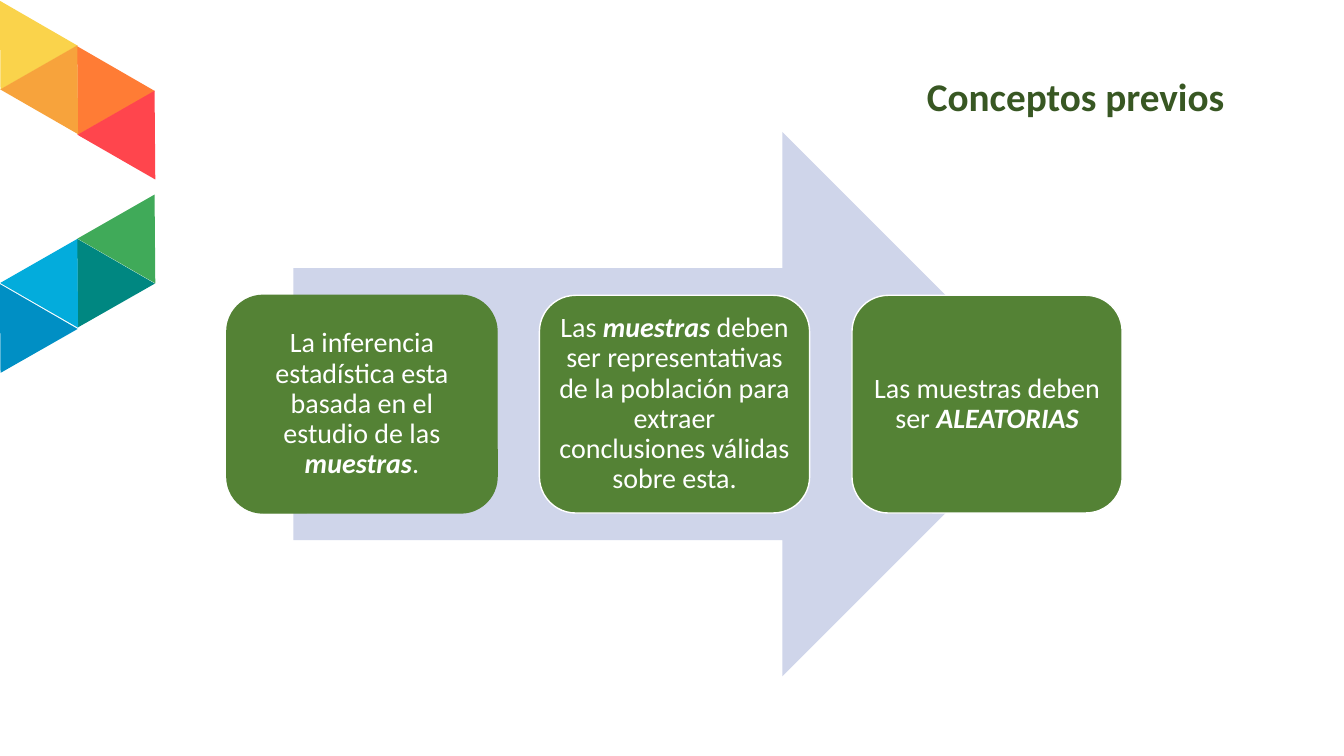
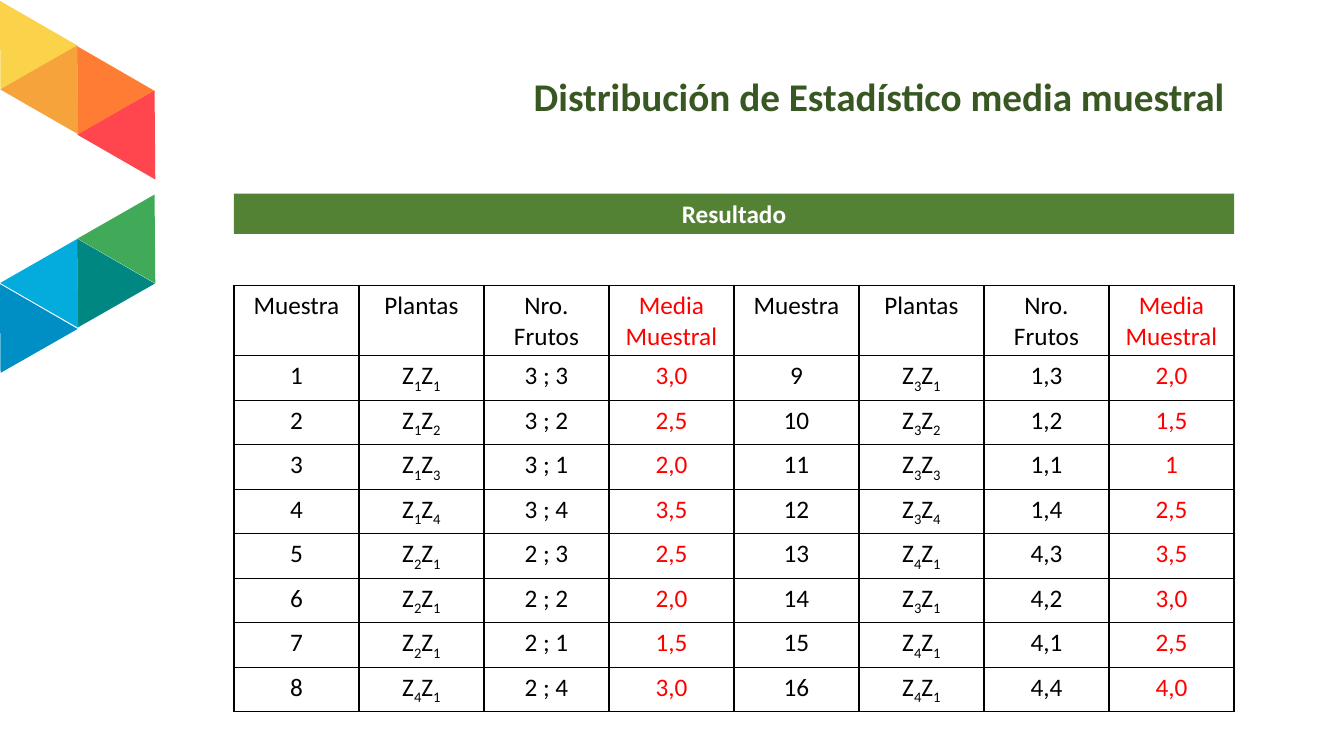
from dataclasses import dataclass

from lxml.etree import SubElement
from pptx import Presentation
from pptx.dml.color import RGBColor
from pptx.enum.shapes import MSO_SHAPE
from pptx.enum.text import MSO_ANCHOR, PP_ALIGN
from pptx.oxml.ns import qn
from pptx.util import Inches, Pt


@dataclass(frozen=True)
class Theme:
    font: str = "Calibri"
    title: str = "385723"
    green: str = "548235"
    arrow: str = "CFD5EA"
    white: str = "FFFFFF"
    black: str = "000000"
    red: str = "FF0000"
    title_size: int = 28
    card_size: int = 20
    table_size: int = 18


THEME = Theme()

TRIANGLES = [
    (0, 0.18, "FAD34B"),
    (2, 0.63, "FF7C35"),
    (1, 0.40, "F7A33C"),
    (3, 0.85, "FF454D"),
    (2, 2.54, "008781"),
    (0, 2.99, "008FC4"),
    (1, 2.32, "03ACDC"),
    (3, 1.88, "40AA59"),
]

CONCEPTS_TITLE = "Conceptos previos"
CARDS = [
    [
        ("La inferencia estadística esta basada en el estudio de las ", ""),
        ("muestras", "strong"),
        (".", ""),
    ],
    [
        ("Las ", ""),
        ("muestras", "strong"),
        (" deben ser representativas de la población para extraer conclusiones válidas sobre esta.", ""),
    ],
    [("Las muestras deben ser ", ""), ("ALEATORIAS", "strong")],
]

RESULTS_TITLE = "Distribución de Estadístico media muestral"
RESULTS_BAND = "Resultado"
HEADERS = ["Muestra", "Plantas", "Nro. Frutos", "Media Muestral"]
PLANT_COLUMN, MEAN_COLUMN = 1, 3
FIRST_SAMPLES = [
    ("11", "3 ; 3", "3,0"),
    ("12", "3 ; 2", "2,5"),
    ("13", "3 ; 1", "2,0"),
    ("14", "3 ; 4", "3,5"),
    ("21", "2 ; 3", "2,5"),
    ("21", "2 ; 2", "2,0"),
    ("21", "2 ; 1", "1,5"),
    ("41", "2 ; 4", "3,0"),
]
LAST_SAMPLES = [
    ("31", "1,3", "2,0"),
    ("32", "1,2", "1,5"),
    ("33", "1,1", "1"),
    ("34", "1,4", "2,5"),
    ("41", "4,3", "3,5"),
    ("31", "4,2", "3,0"),
    ("41", "4,1", "2,5"),
    ("41", "4,4", "4,0"),
]


def rgb(value):
    return RGBColor.from_string(value)


def write(frame, text, size, color, bold=False, align=PP_ALIGN.CENTER, spacing=None):
    frame.word_wrap = True
    para = frame.paragraphs[0]
    para.alignment = align
    if spacing:
        para.line_spacing = spacing
    for words, style in [(text, "")] if isinstance(text, str) else text:
        span = para.add_run()
        span.text = words
        font = span.font
        font.name, font.size = THEME.font, Pt(size)
        font.color.rgb = rgb(color)
        font.bold = bold or style == "strong"
        font.italic = style == "strong"
        if style == "sub":
            span._r.get_or_add_rPr().set("baseline", "-25000")


def add_box(page, kind, left, top, width, height, fill, line=None):
    box = page.shapes.add_shape(kind, Inches(left), Inches(top), Inches(width), Inches(height))
    box.shadow.inherit = False
    box.fill.solid()
    box.fill.fore_color.rgb = rgb(fill)
    if line:
        box.line.color.rgb = rgb(line)
        box.line.width = Pt(1)
    else:
        box.line.fill.background()
    return box


def decorate_layout(layout, page):
    for column, top, color in TRIANGLES:
        triangle = add_box(
            page, MSO_SHAPE.ISOSCELES_TRIANGLE, -0.25 + 0.383 * column, top, 0.89, 0.76, color
        )
        triangle.rotation = 29.9 if column % 2 else 210
        layout.shapes.element.append(triangle.element)


def add_title(page, text):
    box = page.shapes.add_textbox(Inches(2.68), Inches(0.72), Inches(9.56), Inches(0.65))
    write(box.text_frame, text, THEME.title_size, THEME.title,
          bold=True, align=PP_ALIGN.RIGHT, spacing=0.9)


def build_concepts(page):
    add_title(page, CONCEPTS_TITLE)
    add_box(page, MSO_SHAPE.RIGHT_ARROW, 2.91, 1.31, 7.55, 5.4, THEME.arrow)
    for index, text in enumerate(CARDS):
        line = THEME.white if index else THEME.green
        card = add_box(page, MSO_SHAPE.ROUNDED_RECTANGLE, 2.25 + 3.1 * index, 2.93,
                       2.68, 2.16, THEME.green, line)
        frame = card.text_frame
        frame.margin_left = frame.margin_right = Inches(0.08)
        frame.margin_top = frame.margin_bottom = Inches(0.08)
        frame.vertical_anchor = MSO_ANCHOR.MIDDLE
        write(frame, text, THEME.card_size, THEME.white, spacing=0.9)


def sample_cells(number, plants, fruits, mean):
    pair = [part for digit in plants for part in (("Z", ""), (digit, "sub"))]
    return [str(number), pair, fruits, mean]


def result_rows():
    rows = [HEADERS * 2]
    count = len(FIRST_SAMPLES)
    for number, (first, last) in enumerate(zip(FIRST_SAMPLES, LAST_SAMPLES), 1):
        rows.append(sample_cells(number, *first) + sample_cells(number + count, *last))
    return rows


def outline_cell(cell):
    properties = cell._tc.get_or_add_tcPr()
    for side in ("a:lnL", "a:lnR", "a:lnT", "a:lnB"):
        line = SubElement(properties, qn(side), w=str(Pt(1)))
        solid = SubElement(line, qn("a:solidFill"))
        SubElement(solid, qn("a:srgbClr"), val=THEME.black)
    cell.fill.background()


def build_results(page):
    add_title(page, RESULTS_TITLE)
    band = add_box(page, MSO_SHAPE.RECTANGLE, 2.32, 1.92, 9.92, 0.4, THEME.green)
    write(band.text_frame, RESULTS_BAND, THEME.table_size, THEME.white, bold=True)

    rows = result_rows()
    heights = [0.7] + [0.44] * (len(rows) - 1)
    table = page.shapes.add_table(
        len(rows), len(rows[0]), Inches(2.32), Inches(2.83), Inches(9.92), Inches(sum(heights))
    ).table
    table.first_row = table.horz_banding = False
    for row, height, texts in zip(table.rows, heights, rows):
        row.height = Inches(height)
        for column, (cell, text) in enumerate(zip(row.cells, texts)):
            is_mean = column % len(HEADERS) == MEAN_COLUMN
            write(cell.text_frame, text, THEME.table_size, THEME.red if is_mean else THEME.black)
            outline_cell(cell)


def main():
    deck = Presentation()
    deck.slide_width, deck.slide_height = Inches(13.33), Inches(7.5)
    layout = deck.slide_layouts[6]
    pages = [deck.slides.add_slide(layout) for _ in range(2)]
    decorate_layout(layout, pages[0])
    build_concepts(pages[0])
    build_results(pages[1])
    deck.save("out.pptx")


if __name__ == "__main__":
    main()
